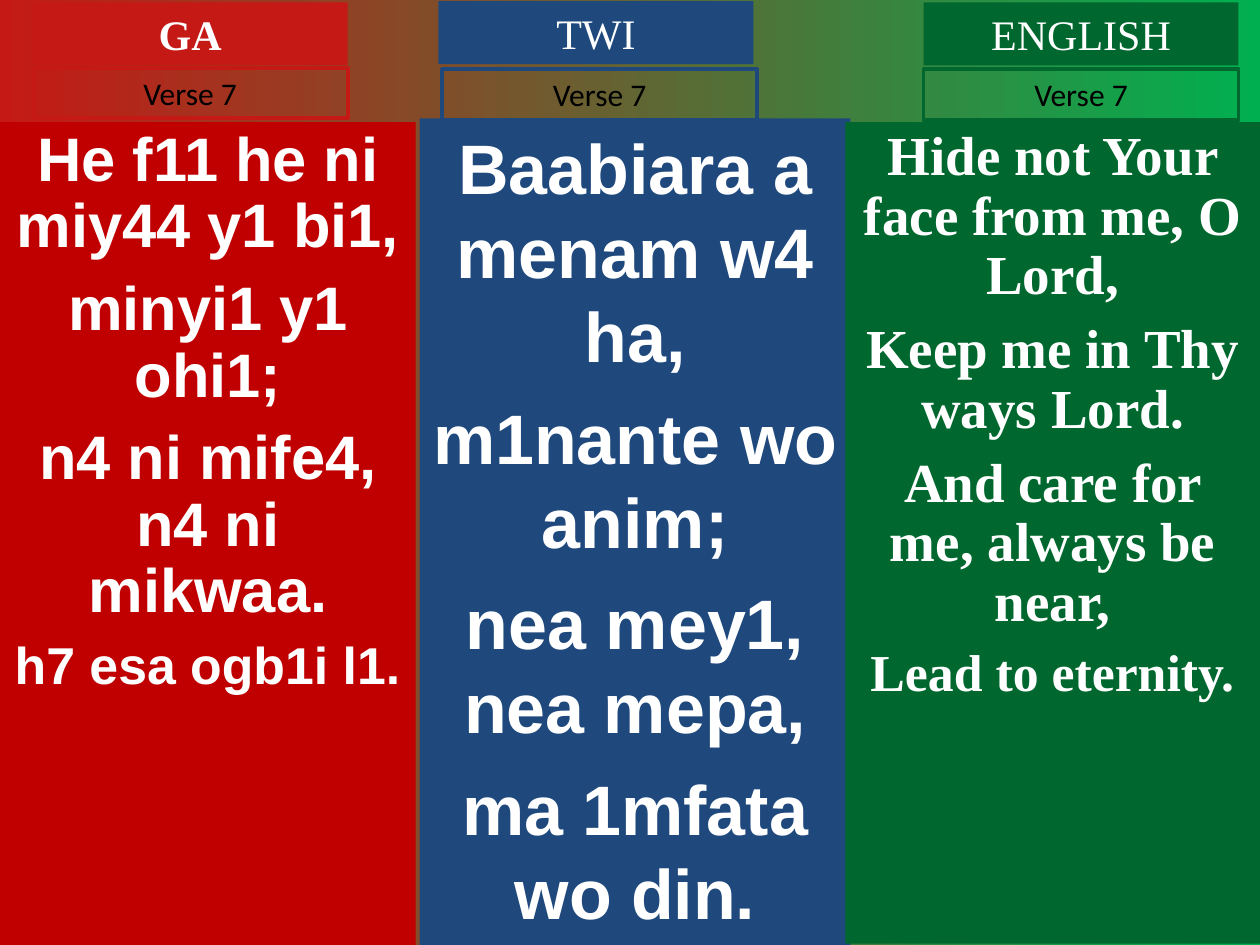
from pptx import Presentation
from pptx.dml.color import RGBColor
from pptx.enum.shapes import MSO_SHAPE
from pptx.enum.text import MSO_ANCHOR, PP_ALIGN
from pptx.util import Inches, Pt

RECT = MSO_SHAPE.RECTANGLE
TOP = MSO_ANCHOR.TOP
CENTER = PP_ALIGN.CENTER

SCARLET = RGBColor(0xC5, 0x19, 0x15)
RED = RGBColor(0xC0, 0x00, 0x00)
BLUE = RGBColor(0x1F, 0x49, 0x7D)
GREEN = RGBColor(0x00, 0x68, 0x2F)
LIME = RGBColor(0x00, 0xB0, 0x50)
WHITE = RGBColor(0xFF, 0xFF, 0xFF)
BLACK = RGBColor(0x00, 0x00, 0x00)

SERIF, SANS, BODY = "Times New Roman", "Arial", "Calibri"
VERSE = "Verse 7"

# Content: one entry per language; lines are (text, size, space before)
COLUMNS = [
    dict(name="GA", bold=True, tint=SCARLET, fill=RED, font=SANS, pitch=0.9,
         head=(0.26, 0.02), tag=(0.26, 0.54), panel=(0, 0.97, 3.3, 6.53),
         lines=[("He f11 he ni miy44 y1 bi1,", 35.1, 0),
                ("minyi1 y1 ohi1;", 35.1, 9.5),
                ("n4 ni mife4, n4 ni mikwaa.", 35.1, 9.5),
                ("h7 esa ogb1i l1.", 29.6, 8)]),
    dict(name="TWI", bold=False, tint=BLUE, fill=BLUE, font=SANS, pitch=1.0,
         head=(3.48, 0.01), tag=(3.51, 0.55), panel=(3.33, 0.94, 3.42, 6.56),
         lines=[("Baabiara a menam w4 ha,", 40, 0),
                ("m1nante wo anim;", 40, 10),
                ("nea mey1, nea mepa,", 40, 10),
                ("ma 1mfata wo din.", 40, 10)]),
    dict(name="ENGLISH", bold=False, tint=GREEN, fill=GREEN, font=SERIF, pitch=0.9,
         head=(7.33, 0.02), tag=(7.33, 0.55), panel=(6.71, 0.97, 3.29, 6.52),
         lines=[("Hide not Your face from me, O Lord,", 31.4, 0),
                ("Keep me in Thy ways Lord.", 31.4, 8.5),
                ("And care for me, always be near,", 31.4, 8.5),
                ("Lead to eternity.", 29.6, 8)]),
]


def add_box(slide, place, lines, font, color, bold=False, pitch=1.0,
            fill=None, edge=None):
    box = slide.shapes.add_shape(RECT, *map(Inches, place))
    box.shadow.inherit = False
    if fill is None:
        box.fill.background()
    else:
        box.fill.solid()
        box.fill.fore_color.rgb = fill
    if edge is None:
        box.line.fill.background()
    else:
        box.line.color.rgb = edge
        box.line.width = Pt(2.25)
    frame = box.text_frame
    frame.word_wrap = True
    frame.vertical_anchor = TOP
    for i, (text, size, gap) in enumerate(lines):
        para = frame.add_paragraph() if i else frame.paragraphs[0]
        para.text = text
        para.alignment = CENTER
        para.line_spacing = pitch
        para.space_before = Pt(gap)
        para.font.name = font
        para.font.size = Pt(size)
        para.font.bold = bold
        para.font.color.rgb = color


prs = Presentation()
prs.slide_width, prs.slide_height = Inches(10), Inches(7.5)
slide = prs.slides.add_slide(prs.slide_layouts[6])

# Background fade from left to right
back = slide.background.fill
back.gradient()
back.gradient_angle = 0
for stop, color in zip(back.gradient_stops, (SCARLET, LIME)):
    stop.color.rgb = color
back.gradient_stops[0].position = 0
back.gradient_stops[1].position = 1

# Verse panels first, in the order that lets neighbours overlap
for col in COLUMNS:
    add_box(slide, col["panel"], col["lines"], col["font"], WHITE,
            bold=True, pitch=col["pitch"], fill=col["fill"])

# Language heads and verse tags
for col in COLUMNS:
    add_box(slide, (*col["head"], 2.5, 0.5), [(col["name"], 24, 0)],
            SERIF, WHITE, bold=col["bold"], fill=col["tint"])
    add_box(slide, (*col["tag"], 2.5, 0.4), [(VERSE, 18, 0)],
            BODY, BLACK, edge=col["tint"])

prs.save("out.pptx")
